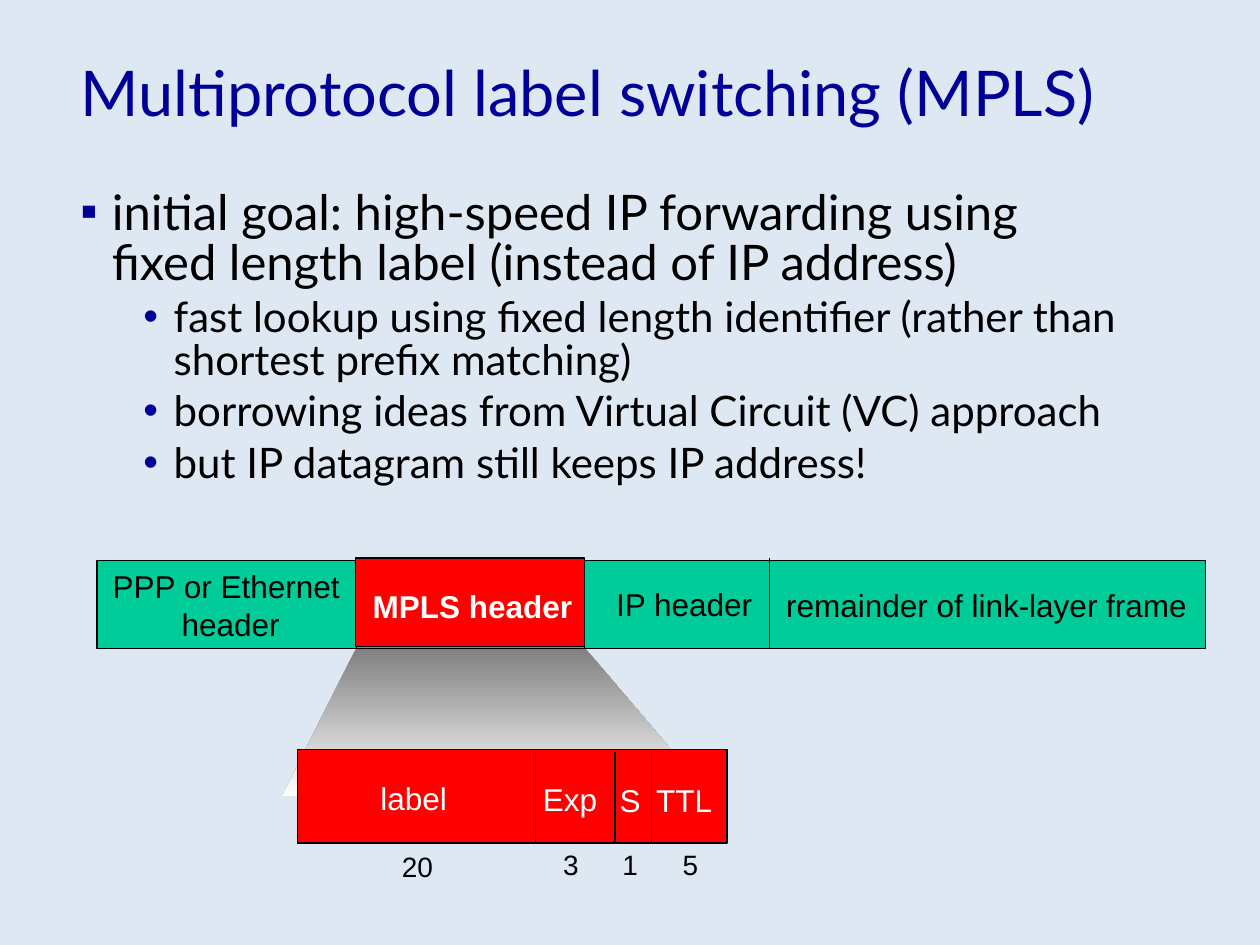
from dataclasses import dataclass

from lxml import etree
from pptx import Presentation
from pptx.dml.color import RGBColor
from pptx.enum.shapes import MSO_CONNECTOR, MSO_SHAPE
from pptx.enum.text import MSO_ANCHOR, MSO_AUTO_SIZE, PP_ALIGN
from pptx.oxml.ns import qn
from pptx.util import Inches, Pt

LEFT, CENTER = PP_ALIGN.LEFT, PP_ALIGN.CENTER
TOP, MIDDLE = MSO_ANCHOR.TOP, MSO_ANCHOR.MIDDLE
FIT, FIXED = MSO_AUTO_SIZE.SHAPE_TO_FIT_TEXT, MSO_AUTO_SIZE.NONE
RECTANGLE = MSO_SHAPE.RECTANGLE
STRAIGHT = MSO_CONNECTOR.STRAIGHT


@dataclass(frozen=True)
class Theme:
    """Colours, fonts and type sizes of the slide."""
    background: str = "DEE8F3"
    accent: str = "000099"
    ink: str = "000000"
    light: str = "FFFFFF"
    frame: str = "00CC99"
    mpls: str = "FF0000"
    shade: str = "808080"
    text_font: str = "Lato"
    figure_font: str = "Arial"
    title: int = 36
    point: int = 28
    detail: int = 24
    label: int = 18
    bits: int = 16
    rule: float = 0.75


def rgb(value):
    """Turn a hex string into a colour."""
    return RGBColor.from_string(value)


class SlideBuilder:
    """Draws elements in one style on one slide."""

    def __init__(self, slide, theme):
        """Keep the slide and theme and paint the background."""
        self.shapes, self.theme = slide.shapes, theme
        slide.background.fill.solid()
        slide.background.fill.fore_color.rgb = rgb(theme.background)

    def format_text(self, paragraph, words, size, color, font, bold=False):
        """Put one formatted run in a paragraph."""
        run = paragraph.add_run()
        run.text = words
        for name, value in dict(size=Pt(size), name=font, bold=bold).items():
            setattr(run.font, name, value)
        run.font.color.rgb = rgb(color)

    def text_frame(self, box, wrap, anchor, fit, fill=None):
        """Add a text box and return its frame."""
        area = self.shapes.add_textbox(*map(Inches, box))
        if fill:
            area.fill.solid()
            area.fill.fore_color.rgb = rgb(fill)
        settings = dict(word_wrap=wrap, vertical_anchor=anchor, auto_size=fit)
        for name, value in settings.items():
            setattr(area.text_frame, name, value)
        return area.text_frame

    def title(self, words, box):
        """Add the slide title."""
        heading = self.text_frame(box, True, MIDDLE, FIXED).paragraphs[0]
        self.format_text(heading, words, self.theme.title, self.theme.accent,
                         self.theme.text_font)

    def bullets(self, points, box):
        """Add a two-level list from (level, words) pairs."""
        theme = self.theme
        levels = [(0.25, 0.25, "▪", theme.point), (0.74, 0.24, "•", theme.detail)]
        frame = self.text_frame(box, True, TOP, FIXED)
        for index, (level, words) in enumerate(points):
            margin, hanging, mark, size = levels[level]
            paragraph = frame.add_paragraph() if index else frame.paragraphs[0]
            settings = dict(level=level, line_spacing=0.85, space_before=Pt(size * 0.2))
            for name, value in settings.items():
                setattr(paragraph, name, value)
            self.format_text(paragraph, words, size, theme.ink, theme.text_font)
            properties = paragraph._p.get_or_add_pPr()
            properties.set("marL", str(Inches(margin)))
            properties.set("indent", str(-Inches(hanging)))
            color = etree.SubElement(properties, qn("a:buClr"))
            etree.SubElement(color, qn("a:srgbClr"), val=theme.accent)
            etree.SubElement(properties, qn("a:buFont"), typeface="Arial")
            etree.SubElement(properties, qn("a:buChar"), char=mark)

    def label(self, lines, box, align=LEFT, size=None, color=None, bold=False, fill=None):
        """Add a figure label, one paragraph for each line."""
        theme = self.theme
        frame = self.text_frame(box, False, TOP, FIT, fill)
        for index, words in enumerate(lines.split("\n")):
            paragraph = frame.add_paragraph() if index else frame.paragraphs[0]
            paragraph.alignment = align
            self.format_text(paragraph, words, size or theme.label,
                             color or theme.ink, theme.figure_font, bold)

    def block(self, box, fill):
        """Add an outlined rectangle."""
        block = self.shapes.add_shape(RECTANGLE, *map(Inches, box))
        block.shadow.inherit = False
        block.fill.solid()
        block.fill.fore_color.rgb = rgb(fill)
        block.line.color.rgb = rgb(self.theme.ink)
        block.line.width = Pt(self.theme.rule)

    def divider(self, x, top, bottom):
        """Add a vertical line between two fields."""
        line = self.shapes.add_connector(
            STRAIGHT, Inches(x), Inches(top), Inches(x), Inches(bottom))
        line.line.color.rgb = rgb(self.theme.ink)
        line.line.width = Pt(self.theme.rule)
        etree.SubElement(line._element.spPr, qn("a:effectLst"))

    def zoom(self, corners):
        """Add the shaded outline that leads to the enlarged header."""
        start, *others = [(Inches(x), Inches(y)) for x, y in corners]
        outline = self.shapes.build_freeform(*start)
        outline.add_line_segments(others, close=True)
        beam = outline.convert_to_shape()
        beam.shadow.inherit = False
        beam.line.fill.background()
        beam.fill.gradient()
        beam.fill.gradient_angle = 270
        ramp = [(0, self.theme.shade), (1, self.theme.light)]
        for stop, (position, color) in zip(beam.fill.gradient_stops, ramp):
            stop.position = position
            stop.color.rgb = rgb(color)


def build():
    """Build and save the slide."""
    deck = Presentation()
    deck.slide_width, deck.slide_height = Inches(10), Inches(7.5)
    theme = Theme()
    page = SlideBuilder(deck.slides.add_slide(deck.slide_layouts[6]), theme)

    page.title("Multiprotocol label switching (MPLS)", (0.54, 0.21, 8.5, 1.03))
    page.bullets([
        (0, "initial goal: high-speed IP forwarding using fixed length label "
            "(instead of IP address)"),
        (1, "fast lookup using fixed length identifier (rather than shortest "
            "prefix matching)"),
        (1, "borrowing ideas from Virtual Circuit (VC) approach"),
        (1, "but IP datagram still keeps IP address!"),
    ], (0.54, 1.46, 8.5, 5.08))

    page.zoom([(2.83, 5.14), (2.24, 6.32), (5.64, 6.32), (4.64, 5.14)])

    page.block((0.77, 4.45, 8.8, 0.7), theme.frame)
    page.label("PPP or Ethernet \nheader", (0.77, 4.45, 2.12, 0.7), CENTER)
    page.label("IP header", (4.79, 4.59, 1.28, 0.4), CENTER)
    for x in (2.83, 4.64, 6.11):
        page.divider(x, 4.43, 5.15)
    page.label("remainder of link-layer frame", (6.14, 4.6, 3.38, 0.4))
    page.block((2.82, 4.43, 1.82, 0.7), theme.mpls)
    page.label("MPLS header", (2.8, 4.61, 1.9, 0.4), CENTER,
               color=theme.light, bold=True)

    page.block((2.36, 5.95, 3.41, 0.74), theme.mpls)
    fields = [  # name, left, top, width, bits, bits left, bits top, bits width
        ("label", 2.92, 6.13, 0.73, "20", 3.09, 6.69, 0.45),
        ("Exp", 4.21, 6.14, 0.63, "3", 4.37, 6.68, 0.32),
        ("S", 4.82, 6.15, 0.37, "1", 4.84, 6.68, 0.32),
        ("TTL", 5.11, 6.15, 0.65, "5", 5.32, 6.68, 0.32),
    ]
    for name, left, top, width, bits, bits_left, bits_top, bits_width in fields:
        page.label(name, (left, top, width, 0.4), color=theme.light, fill=theme.mpls)
        page.label(bits, (bits_left, bits_top, bits_width, 0.37), size=theme.bits)
    for x in (4.25, 4.88, 5.17):
        page.divider(x, 5.97, 6.69)

    deck.save("out.pptx")


build()
